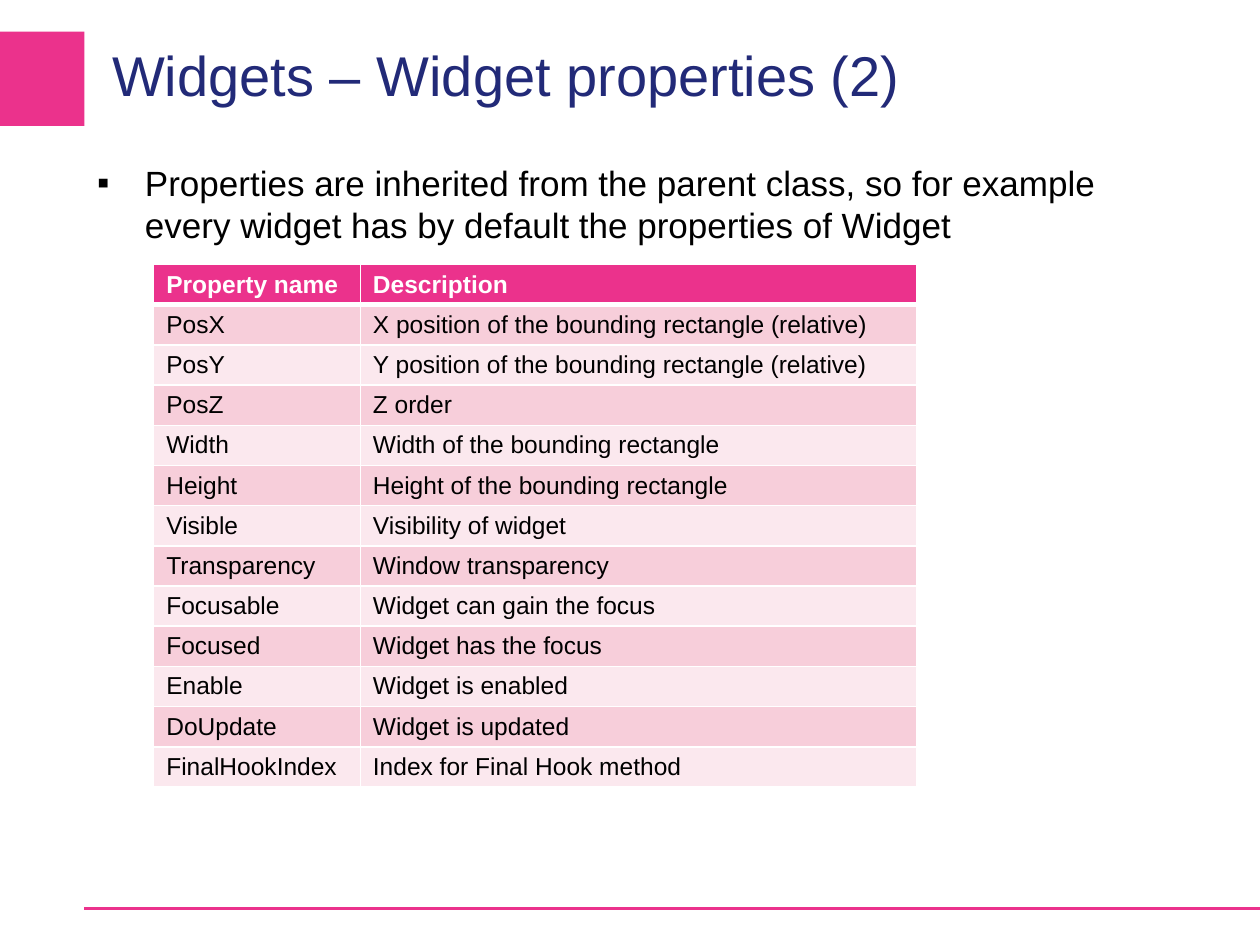
import dataclasses
import typing

import lxml.etree
import pptx
import pptx.dml.color
import pptx.enum.shapes
import pptx.enum.text
import pptx.oxml.ns
import pptx.util

Inches = pptx.util.Inches
qn = pptx.oxml.ns.qn

COLORS = {
    "pink": "EB328C",
    "navy": "222A78",
    "black": "000000",
    "white": "FFFFFF",
    "band_dark": "F7CEDA",
    "band_light": "FBE8EE",
}


@dataclasses.dataclass
class Property:
    name: str
    description: str


HEADER = Property("Property name", "Description")
PROPERTIES = [
    Property("PosX", "X position of the bounding rectangle (relative)"),
    Property("PosY", "Y position of the bounding rectangle (relative)"),
    Property("PosZ", "Z order"),
    Property("Width", "Width of the bounding rectangle"),
    Property("Height", "Height of the bounding rectangle"),
    Property("Visible", "Visibility of widget"),
    Property("Transparency", "Window transparency"),
    Property("Focusable", "Widget can gain the focus"),
    Property("Focused", "Widget has the focus"),
    Property("Enable", "Widget is enabled"),
    Property("DoUpdate", "Widget is updated"),
    Property("FinalHookIndex", "Index for Final Hook method"),
]


def color(name: str) -> pptx.dml.color.RGBColor:
    return pptx.dml.color.RGBColor.from_string(COLORS[name])


def set_all(target: typing.Any, values: dict) -> None:
    for name, value in values.items():
        setattr(target, name, value)


def place(shape, left: float, top: float, width: float, height: float) -> None:
    set_all(shape, {
        "left": Inches(left), "top": Inches(top),
        "width": Inches(width), "height": Inches(height),
    })


def write(frame, text: str, size: float, ink: str, bold: bool = False):
    para = frame.paragraphs[0]
    para.alignment = pptx.enum.text.PP_ALIGN.LEFT
    span = para.add_run()
    span.text = text
    set_all(span.font, {"name": "Arial", "size": pptx.util.Pt(size), "bold": bold})
    span.font.color.rgb = color(ink)
    return para


def add_decoration(slide) -> None:
    block = slide.shapes.add_shape(
        pptx.enum.shapes.MSO_SHAPE.RECTANGLE,
        Inches(-0.01), Inches(0.25), Inches(0.68), Inches(0.75))
    block.shadow.inherit = False
    block.fill.solid()
    block.fill.fore_color.rgb = color("pink")
    block.line.fill.background()

    rule = slide.shapes.add_connector(
        pptx.enum.shapes.MSO_CONNECTOR.STRAIGHT,
        Inches(0.67), Inches(7.21), Inches(10.01), Inches(7.21))
    rule.line.color.rgb = color("pink")
    rule.line.width = pptx.util.Pt(2)
    lxml.etree.SubElement(rule._element.spPr, qn("a:effectLst"))


def fill_title(title) -> None:
    place(title, 0.89, 0.16, 6.79, 0.85)
    set_all(title.text_frame, {
        "margin_left": 0, "margin_top": 0, "margin_right": 0, "margin_bottom": 0,
        "vertical_anchor": pptx.enum.text.MSO_ANCHOR.MIDDLE,
        "auto_size": pptx.enum.text.MSO_AUTO_SIZE.NONE,
    })
    write(title.text_frame, "Widgets – Widget properties (2)", 32, "navy")


def fill_body(body) -> None:
    place(body, 0.67, 1.23, 8.66, 5.75)
    body.text_frame.auto_size = pptx.enum.text.MSO_AUTO_SIZE.NONE
    para = write(
        body.text_frame,
        "Properties are inherited from the parent class, so for example "
        "every widget has by default the properties of Widget", 20, "black")
    para.space_before = pptx.util.Pt(4)
    properties = para._p.get_or_add_pPr()
    properties.set("marL", str(Inches(0.38)))
    properties.set("indent", str(Inches(-0.38)))
    lxml.etree.SubElement(properties, qn("a:buFont"), typeface="Arial")
    lxml.etree.SubElement(properties, qn("a:buChar"), char="▪")


def add_borders(cell, top: float, bottom: float) -> None:
    cell_properties = cell._tc.get_or_add_tcPr()
    for side, points in {"L": 1, "R": 1, "T": top, "B": bottom}.items():
        border = lxml.etree.SubElement(
            cell_properties, qn(f"a:ln{side}"), w=str(pptx.util.Pt(points)))
        fill = lxml.etree.SubElement(border, qn("a:solidFill"))
        lxml.etree.SubElement(fill, qn("a:srgbClr"), val=COLORS["white"])


def add_property_table(slide) -> None:
    entries = [HEADER, *PROPERTIES]
    table = slide.shapes.add_table(
        len(entries), 2, Inches(1.22), Inches(2.1), Inches(6.06), Inches(4.14)).table
    for column, width in zip(table.columns, (1.64, 4.42)):
        column.width = Inches(width)
    for row, entry in enumerate(entries):
        is_header = row == 0
        band = "pink" if is_header else "band_dark" if row % 2 else "band_light"
        for column, text in enumerate((entry.name, entry.description)):
            cell = table.cell(row, column)
            add_borders(cell, 3 if row == 1 else 1, 3 if is_header else 1)
            cell.fill.solid()
            cell.fill.fore_color.rgb = color(band)
            write(cell.text_frame, text, 14, "white" if is_header else "black", is_header)


def main() -> None:
    deck = pptx.Presentation()
    set_all(deck, {"slide_width": Inches(10), "slide_height": Inches(7.5)})
    page = deck.slides.add_slide(deck.slide_layouts[1])
    add_decoration(page)
    fill_title(page.shapes.title)
    fill_body(page.placeholders[1])
    add_property_table(page)
    deck.save("out.pptx")


if __name__ == "__main__":
    main()
